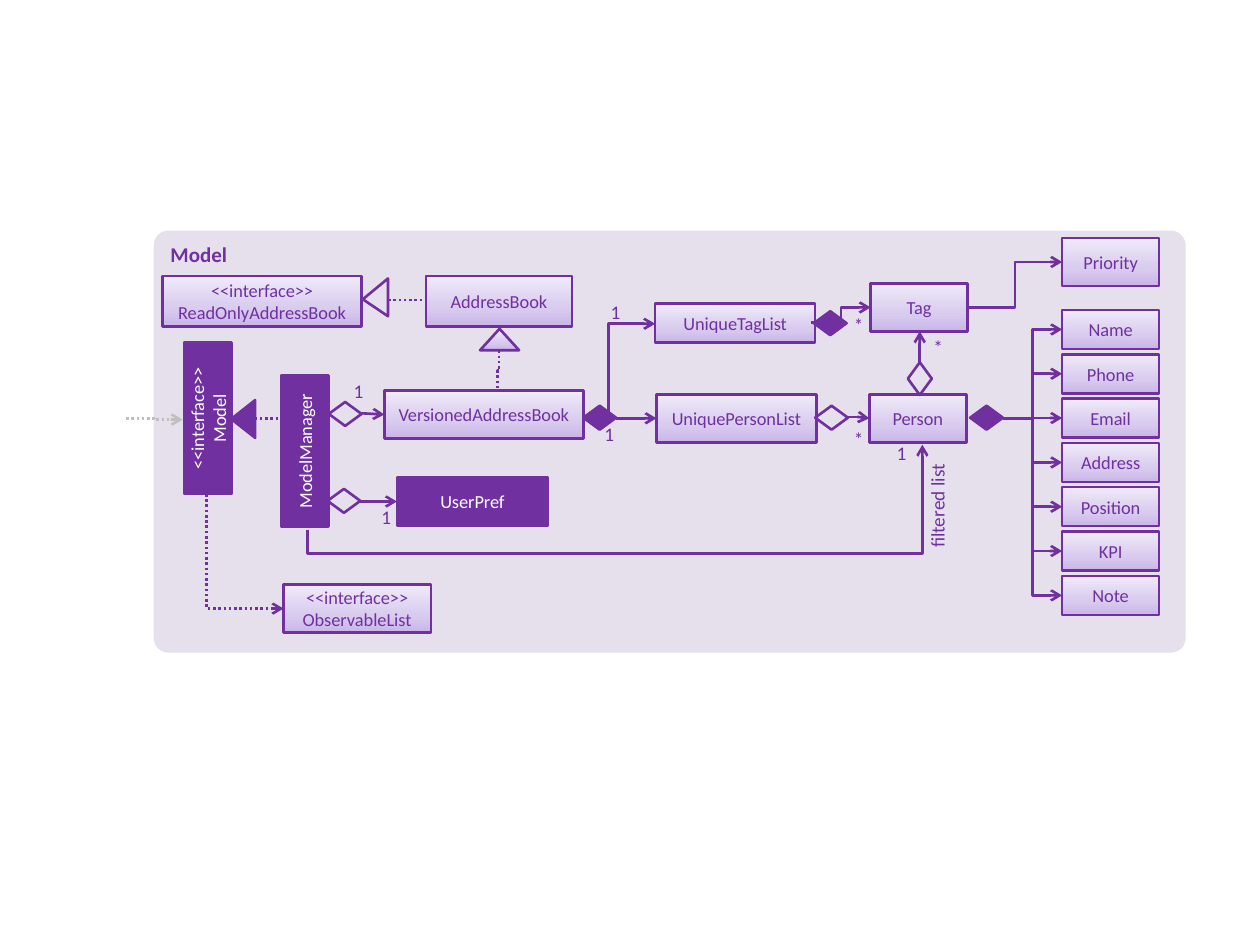
"""Build a class diagram slide of the Model component."""
from copy import deepcopy
from dataclasses import dataclass
from typing import Optional

from lxml.etree import SubElement
from pptx import Presentation
from pptx.dml.color import RGBColor
from pptx.enum.dml import MSO_LINE
from pptx.enum.shapes import MSO_CONNECTOR, MSO_SHAPE
from pptx.enum.text import MSO_ANCHOR, PP_ALIGN
from pptx.oxml.ns import qn
from pptx.util import Inches, Pt

PURPLE = RGBColor(0x70, 0x30, 0xA0)
LAVENDER = RGBColor(0xE6, 0xE0, 0xEC)
GREY = RGBColor(0xBF, 0xBF, 0xBF)
WHITE = RGBColor(0xFF, 0xFF, 0xFF)
GRADIENT = (
    (0, RGBColor(0xC9, 0xB5, 0xE8)),
    (0.35, RGBColor(0xD8, 0xCB, 0xEE)),
    (1, RGBColor(0xF0, 0xEA, 0xF9)),
)
FONT = "Calibri"
ATTRIBUTES = ("Name", "Phone", "Email", "Address", "Position", "KPI", "Note")
FIRST_TOP, LAST_TOP = 2.46, 4.57
ATTRIBUTE_HEIGHT = 0.31


@dataclass
class Node:
    """A labelled class box."""
    text: str
    left: float
    top: float
    width: float
    height: float = 0.38
    solid: bool = False
    rotation: float = 0


@dataclass
class Marker:
    """A diamond or triangle at the end of a relation; no fill means hollow."""
    left: float
    top: float
    width: float = 0.26
    height: float = 0.19
    fill: Optional[RGBColor] = None
    rotation: float = 0
    shape: MSO_SHAPE = MSO_SHAPE.FLOWCHART_DECISION
    gradient: bool = False
    adjustment: float = 0.5


@dataclass
class Link:
    """A relation; turn is the rotation of its frame in degrees."""
    start: tuple[float, float]
    end: tuple[float, float]
    bend: str = "bentConnector3"
    turn: int = 0
    adjustment: float = 0.5
    color: RGBColor = PURPLE
    dotted: bool = False
    arrow: bool = True


@dataclass
class Label:
    """A small free text."""
    text: str
    left: float
    top: float
    width: float = 0.21
    height: float = 0.2
    rotation: float = 0
    margin: float = 0
    align: PP_ALIGN = PP_ALIGN.CENTER


NODES = [
    Node("UserPref", 3.15, 3.79, 1.2, solid=True),
    Node("ModelManager", 1.82, 3.39, 1.2, solid=True, rotation=270),
    Node("<<interface>>\nModel", 1.05, 3.13, 1.2, solid=True, rotation=270),
    Node("VersionedAddressBook", 3.05, 3.1, 1.58),
    Node("UniquePersonList", 5.21, 3.13, 1.27),
    Node("Person", 6.9, 3.13, 0.77),
    Node("<<interface>>\vObservableList", 2.25, 4.64, 1.17),
    Node("UniqueTagList", 5.2, 2.41, 1.27, 0.31),
    Node("Tag", 6.91, 2.25, 0.77),
    Node("<<interface>>\vReadOnlyAddressBook", 1.29, 2.19, 1.58, 0.4),
    Node("AddressBook", 3.38, 2.19, 1.16, 0.4),
    Node("Priority", 8.43, 1.89, 0.77),
]
LINKS = [
    Link((2.44, 4.21), (7.32, 3.53), turn=90, adjustment=-0.27),
    Link((2.85, 3.98), (3.15, 3.98), "line"),
    Link((1, 3.32), (1.45, 3.33), color=GREY, dotted=True),
    Link((2.02, 3.32), (2.26, 3.32), "line", dotted=True, arrow=False),
    Link((2.87, 3.28), (3.05, 3.29), "line"),
    Link((4.89, 3.32), (5.21, 3.32)),
    Link((6.73, 3.31), (6.9, 3.32)),
    Link((1.64, 3.92), (2.25, 4.83), "bentConnector2", 270, dotted=True),
    Link((4.83, 3.35), (5.2, 2.57), "bentConnector2", 90),
    Link((6.44, 2.56), (6.91, 2.44)),
    Link((7.3, 2.88), (7.3, 2.63), turn=270),
    Link((3.96, 2.78), (3.95, 3.1), turn=90, dotted=True, arrow=False),
    Link((3.08, 2.38), (3.38, 2.38), dotted=True, arrow=False),
    Link((7.68, 2.44), (8.43, 2.08)),
]
for index, attribute in enumerate(ATTRIBUTES):
    top = FIRST_TOP + index * (LAST_TOP - FIRST_TOP) / (len(ATTRIBUTES) - 1)
    NODES.append(Node(attribute, 8.43, top, 0.77, ATTRIBUTE_HEIGHT))
    LINKS.append(Link((7.96, 3.32), (8.43, top + ATTRIBUTE_HEIGHT / 2)))

TRIANGLE = MSO_SHAPE.ISOSCELES_TRIANGLE
MARKERS = [
    Marker(1.78, 3.23, 0.3, fill=PURPLE, rotation=270, shape=TRIANGLE),
    Marker(2.6, 3.88),
    Marker(2.61, 3.19),
    Marker(4.63, 3.22, fill=PURPLE),
    Marker(6.47, 3.22),
    Marker(7.7, 3.22, fill=PURPLE),
    Marker(7.17, 2.91, rotation=270),
    Marker(6.46, 2.47, fill=PURPLE),
    Marker(3.81, 2.61, 0.31, 0.17, shape=TRIANGLE, gradient=True),
    Marker(2.83, 2.26, 0.3, 0.2, LAVENDER, 270, TRIANGLE, adjustment=0.45),
]
LABELS = [
    Label("filtered list", 6.96, 3.92, 0.96, 0.29, 270, 0.05, PP_ALIGN.RIGHT),
    Label("1", 4.73, 3.35),
    Label("*", 6.71, 3.39),
    Label("1", 2.8, 3.01, 0.09),
    Label("1", 2.96, 4.01),
    Label("1", 7.05, 3.5),
    Label("*", 7.34, 2.66),
    Label("*", 6.71, 2.49),
    Label("1", 4.78, 2.38),
]


def write(shape, text: str, size: float, color: RGBColor, align: PP_ALIGN, bold: bool = False) -> None:
    """Set and format the text of a shape."""
    shape.text_frame.text = text
    for para in shape.text_frame.paragraphs:
        para.alignment = align
        for span in para.runs:
            span.font.name, span.font.size = FONT, Pt(size)
            span.font.bold, span.font.color.rgb = bold, color


def fill_gradient(shape) -> None:
    """Fill a shape with the three-stop purple gradient."""
    shape.fill.gradient()
    shape.fill.gradient_angle = 90
    stop_list = shape.element.spPr.find(qn("a:gradFill")).find(qn("a:gsLst"))
    stop_list.insert(1, deepcopy(stop_list[0]))
    for stop, (position, color) in zip(shape.fill.gradient_stops, GRADIENT):
        stop.position, stop.color.rgb = position, color


def draw_shape(page, kind: MSO_SHAPE, item, fill: Optional[RGBColor], gradient: bool):
    """Add an outlined preset shape."""
    shape = page.shapes.add_shape(
        kind, Inches(item.left), Inches(item.top), Inches(item.width), Inches(item.height))
    shape.shadow.inherit = False
    shape.rotation = item.rotation
    shape.line.color.rgb, shape.line.width = PURPLE, Pt(1.5)
    if gradient:
        fill_gradient(shape)
    elif fill is None:
        shape.fill.background()
    else:
        shape.fill.solid()
        shape.fill.fore_color.rgb = fill
    return shape


def draw_node(page, node: Node) -> None:
    """Add a class box with its name."""
    box = draw_shape(page, MSO_SHAPE.RECTANGLE, node, PURPLE, not node.solid)
    frame = box.text_frame
    frame.margin_left = frame.margin_right = Inches(0.05)
    frame.vertical_anchor = MSO_ANCHOR.MIDDLE
    write(box, node.text, 10.5, WHITE if node.solid else PURPLE, PP_ALIGN.CENTER)


def draw_marker(page, marker: Marker) -> None:
    """Add a relation end marker."""
    shape = draw_shape(page, marker.shape, marker, marker.fill, marker.gradient)
    if marker.shape == TRIANGLE:
        shape.adjustments[0] = marker.adjustment


def draw_link(page, link: Link) -> None:
    """Add a connector, turning its frame about the middle where needed."""
    middle_x, middle_y = ((a + b) / 2 for a, b in zip(link.start, link.end))
    points = []
    for x, y in (link.start, link.end):
        across, down = x - middle_x, y - middle_y
        if link.turn:
            sign = 1 if link.turn == 90 else -1
            across, down = sign * down, -sign * across
        points += [Inches(middle_x + across), Inches(middle_y + down)]
    kind = MSO_CONNECTOR.STRAIGHT if link.bend == "line" else MSO_CONNECTOR.ELBOW
    connector = page.shapes.add_connector(kind, *points)
    connector.line.color.rgb, connector.line.width = link.color, Pt(1.5)
    if link.dotted:
        connector.line.dash_style = MSO_LINE.ROUND_DOT
    properties = connector.element.spPr
    properties.find(qn("a:xfrm")).set("rot", str(link.turn * 60000))
    geometry = properties.find(qn("a:prstGeom"))
    geometry.set("prst", link.bend)
    if link.bend == "bentConnector3":
        SubElement(geometry.find(qn("a:avLst")), qn("a:gd"), name="adj1",
                   fmla=f"val {round(link.adjustment * 100000)}")
    if link.arrow:
        SubElement(properties.find(qn("a:ln")), qn("a:tailEnd"), type="arrow")
    SubElement(properties, qn("a:effectLst"))


def draw_label(page, label: Label) -> None:
    """Add a free text."""
    box = page.shapes.add_textbox(
        Inches(label.left), Inches(label.top), Inches(label.width), Inches(label.height))
    box.rotation = label.rotation
    frame = box.text_frame
    frame.word_wrap = True
    frame.margin_left = frame.margin_right = Inches(label.margin * 2)
    frame.margin_top = frame.margin_bottom = Inches(label.margin)
    write(box, label.text, 11, PURPLE, label.align)


def draw_panel(page) -> None:
    """Add the rounded background with the component name."""
    panel = page.shapes.add_shape(
        MSO_SHAPE.ROUNDED_RECTANGLE, Inches(1.22), Inches(1.83), Inches(8.19), Inches(3.35))
    panel.shadow.inherit = False
    panel.adjustments[0] = 0.035
    panel.fill.solid()
    panel.fill.fore_color.rgb = LAVENDER
    panel.line.fill.background()
    panel.text_frame.vertical_anchor = MSO_ANCHOR.TOP
    write(panel, "Model", 12, PURPLE, PP_ALIGN.LEFT, bold=True)


deck = Presentation()
deck.slide_width, deck.slide_height = Inches(10), Inches(7.5)
page = deck.slides.add_slide(deck.slide_layouts[6])
draw_panel(page)
for items, draw in ((NODES, draw_node), (LINKS, draw_link), (MARKERS, draw_marker), (LABELS, draw_label)):
    for item in items:
        draw(page, item)
deck.save("out.pptx")
